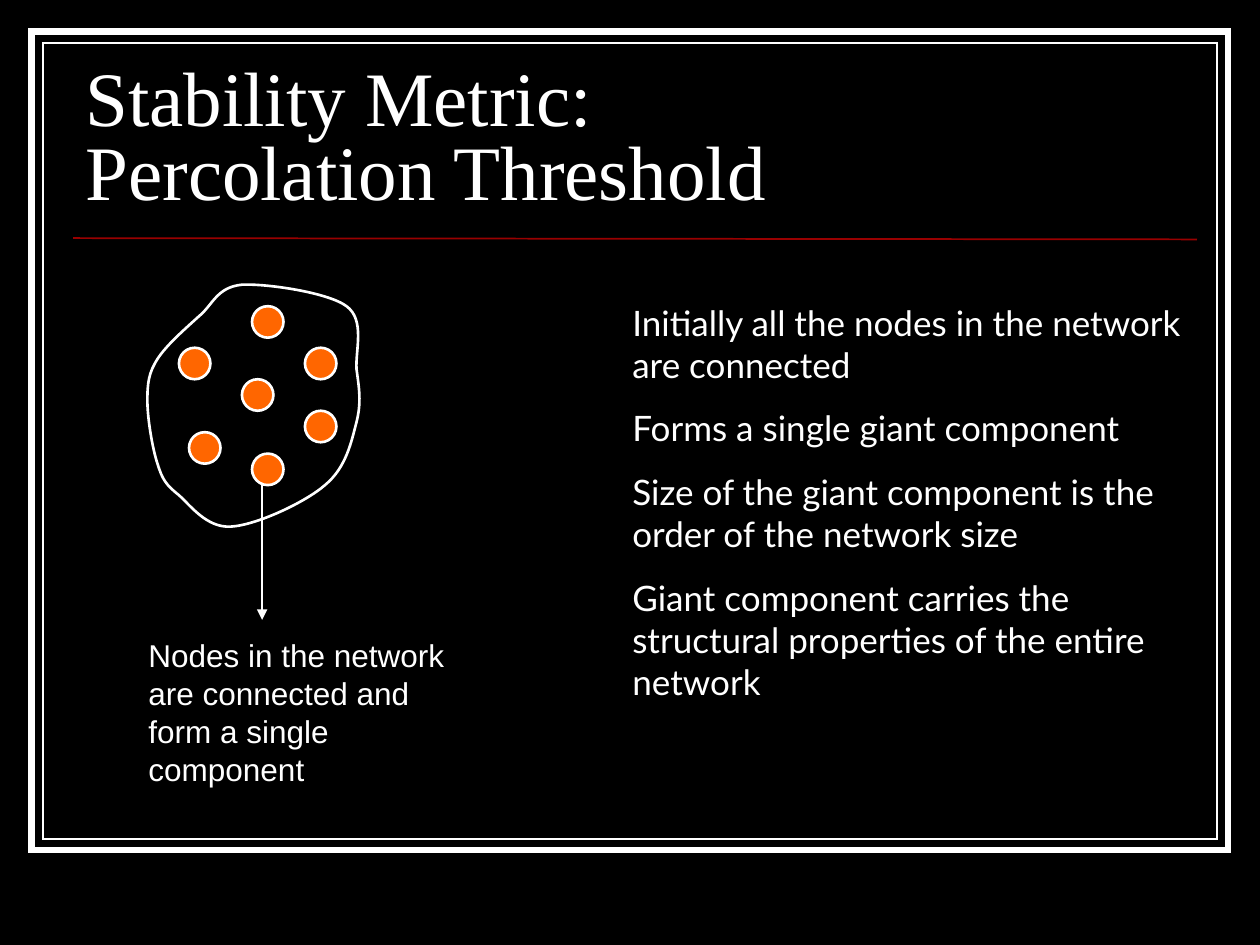
from lxml.etree import SubElement
from pptx import Presentation
from pptx.dml.color import RGBColor
from pptx.enum.shapes import MSO_CONNECTOR, MSO_SHAPE
from pptx.enum.text import MSO_ANCHOR
from pptx.oxml.ns import qn
from pptx.util import Inches, Pt

BLACK, WHITE, RED, ORANGE = "000000", "FFFFFF", "990000", "FF6600"
NODE_SIZE = 0.25
NODES = [(1.25, 0.51), (1.25, 1.01), (0.83, 0.18), (0.25, 0.51),
         (0.83, 1.35), (0.33, 1.18), (0.75, 0.76)]
OUTLINE_START = (0.41, 0.26)
OUTLINE_CURVES = [
    ((0.3, 0.36), (0.15, 0.49), (0.08, 0.6)),
    ((0.01, 0.71), (0, 0.79), (0, 0.93)),
    ((0, 1.07), (0.04, 1.31), (0.08, 1.43)),
    ((0.12, 1.56), (0.15, 1.6), (0.25, 1.68)),
    ((0.34, 1.76), (0.47, 1.94), (0.66, 1.93)),
    ((0.86, 1.92), (1.25, 1.74), (1.41, 1.6)),
    ((1.58, 1.46), (1.62, 1.25), (1.66, 1.1)),
    ((1.7, 0.94), (1.68, 0.83), (1.66, 0.68)),
    ((1.65, 0.53), (1.73, 0.29), (1.58, 0.18)),
    ((1.43, 0.07), (0.94, 0), (0.75, 0.01)),
    ((0.55, 0.03), (0.52, 0.17), OUTLINE_START),
]


def color(value):
    return RGBColor.from_string(value)


def style_line(shape, line_color, width):
    shape.line.color.rgb = color(line_color)
    shape.line.width = Pt(width)
    outline = shape._element.spPr.find(qn("a:ln"))
    SubElement(outline, qn("a:miter"), lim="800000")
    return outline


def style_shape(shape, fill, line_width):
    shape.shadow.inherit = False
    shape.fill.solid()
    shape.fill.fore_color.rgb = color(fill)
    style_line(shape, WHITE, line_width)


def add_preset(slide, kind, box, fill, line_width):
    shape = slide.shapes.add_shape(kind, *map(Inches, box))
    style_shape(shape, fill, line_width)


def add_line(slide, start, end, line_color, width, arrow=False):
    connector = slide.shapes.add_connector(
        MSO_CONNECTOR.STRAIGHT, *map(Inches, start + end))
    outline = style_line(connector, line_color, width)
    if arrow:
        SubElement(outline, qn("a:tailEnd"), type="triangle")
    SubElement(connector._element.spPr, qn("a:effectLst"))


def add_text(slide, text, box, font="Arial", size=18, before=0, spacing=None,
             anchor=MSO_ANCHOR.TOP):
    frame = slide.shapes.add_textbox(*map(Inches, box)).text_frame
    frame.word_wrap = True
    frame.vertical_anchor = anchor
    frame.text = text
    for paragraph in frame.paragraphs:
        paragraph.space_before = Pt(before)
        paragraph.line_spacing = spacing
        for run in paragraph.runs:
            run.font.name = font
            run.font.size = Pt(size)
            run.font.color.rgb = color(WHITE)


def add_frame(slide, left, top, width, height):
    for inset, line_width in ((0, 3.5), (0.09, 0.75)):
        box = (left + inset, top + inset, width - 2 * inset, height - 2 * inset)
        add_preset(slide, MSO_SHAPE.RECTANGLE, box, BLACK, line_width)


def add_header(slide, left, top, width, height):
    add_text(slide, "Stability Metric:\vPercolation Threshold",
             (left, top, width, height), font="Times New Roman", size=44,
             spacing=0.8, anchor=MSO_ANCHOR.BOTTOM)
    rule_top = top + height + 0.13
    add_line(slide, (left, rule_top), (left + width, rule_top + 0.01), RED, 1)


def add_outline(slide, left, top, width, height):
    builder = slide.shapes.build_freeform(0, 0)
    builder.add_line_segments([(Inches(width), 0), (Inches(width), Inches(height))])
    shape = builder.convert_to_shape(Inches(left), Inches(top))
    outline_path = shape._element.spPr.find(".//" + qn("a:path"))
    for command in list(outline_path):
        outline_path.remove(command)
    commands = [("moveTo", [OUTLINE_START])]
    commands += [("cubicBezTo", curve) for curve in OUTLINE_CURVES]
    for name, points in commands + [("close", [])]:
        command = SubElement(outline_path, qn("a:" + name))
        for x, y in points:
            SubElement(command, qn("a:pt"), x=str(Inches(x)), y=str(Inches(y)))
    style_shape(shape, BLACK, 1.5)


def add_network(slide, left, top, width, height):
    add_outline(slide, left, top, width, height)
    for x, y in NODES:
        add_preset(slide, MSO_SHAPE.OVAL,
                   (left + x, top + y, NODE_SIZE, NODE_SIZE), ORANGE, 1.5)


def add_findings(slide, left, top, width, height):
    findings = [
        "Initially all the nodes in the network are connected",
        "Forms a single giant component",
        "Size of the giant component is the order of the network size",
        "Giant component carries the structural properties of the entire network",
    ]
    add_text(slide, "\n".join(findings), (left, top, width, height),
             font="Lato", size=20, before=12.5)


def add_caption(slide, left, top, width, height):
    arrow_x = left + 1
    add_line(slide, (arrow_x, top - 1.17), (arrow_x, top - 0.08), WHITE, 0.75, arrow=True)
    add_text(slide, "Nodes in the network are connected and form a single component",
             (left, top, width, height), before=11.2)


def main():
    presentation = Presentation()
    presentation.slide_width, presentation.slide_height = Inches(10), Inches(7.5)
    slide = presentation.slides.add_slide(presentation.slide_layouts[6])
    slide.background.fill.solid()
    slide.background.fill.fore_color.rgb = color(BLACK)
    add_frame(slide, 0.25, 0.25, 9.5, 6.5)
    add_header(slide, 0.58, 0.52, 8.92, 1.24)
    add_network(slide, 1.17, 2.25, 1.74, 1.94)
    add_findings(slide, 4.92, 2.34, 4.58, 3.29)
    add_caption(slide, 1.08, 5, 2.75, 1.3)
    presentation.save("out.pptx")


if __name__ == "__main__":
    main()
